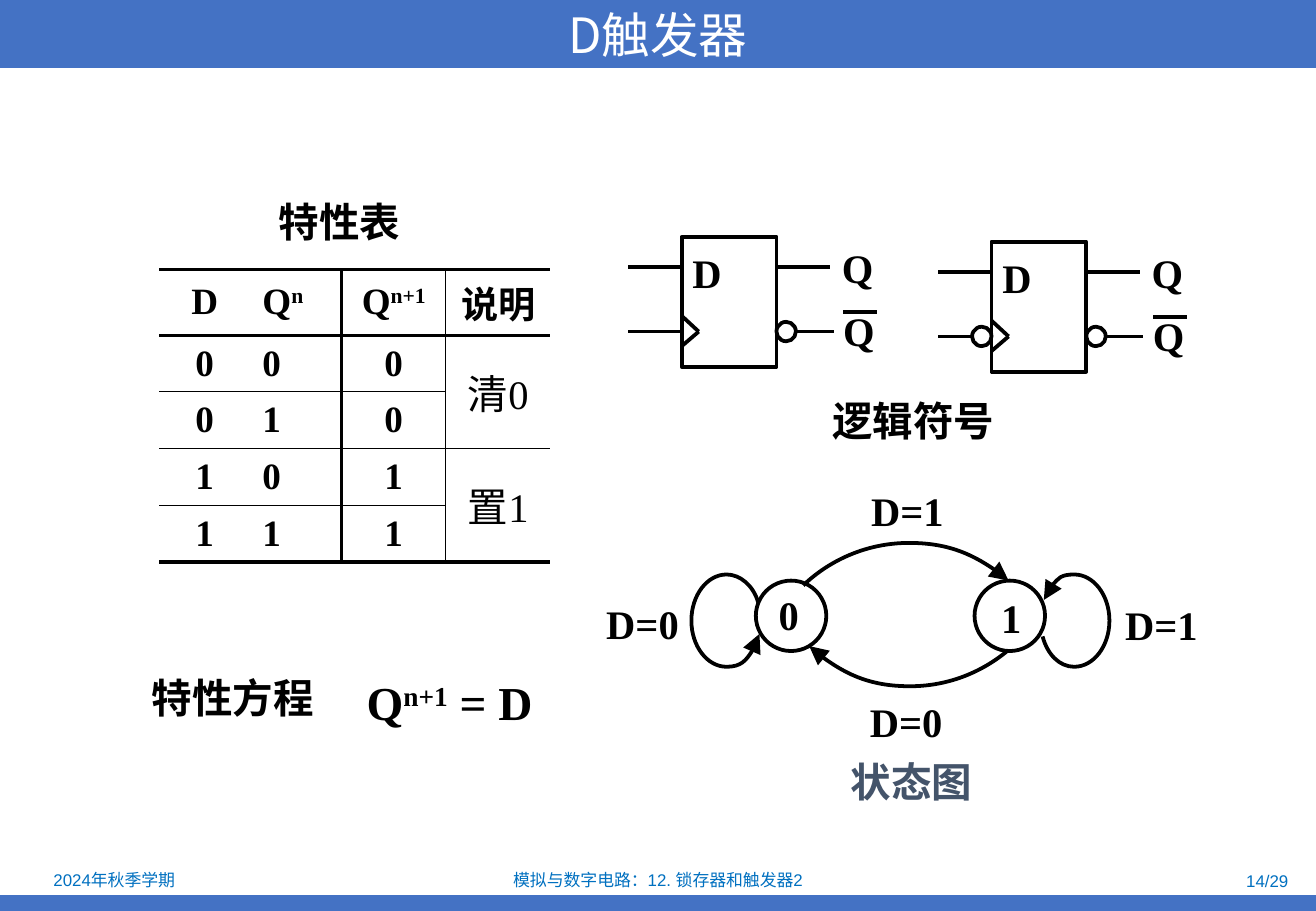
from lxml import etree
from pptx import Presentation
from pptx import util as u
from pptx.dml.color import RGBColor
from pptx.enum import shapes as kinds, text as t
from pptx.oxml.ns import qn

BLUE, FOOTER_BLUE, SLATE = "4472C4", "0070C0", "44546A"
BLACK, WHITE = "000000", "FFFFFF"
SERIF, SANS, CHINESE = "Times New Roman", "Arial", "Noto Sans CJK SC"
LINE_WIDTH, THIN = 2.25, 0.75
LEFT, CENTER, RIGHT = t.PP_ALIGN.LEFT, t.PP_ALIGN.CENTER, t.PP_ALIGN.RIGHT
TOP, MIDDLE = t.MSO_ANCHOR.TOP, t.MSO_ANCHOR.MIDDLE
OVAL, RECTANGLE = kinds.MSO_SHAPE.OVAL, kinds.MSO_SHAPE.RECTANGLE


def color(value):
    return RGBColor.from_string(value)


def inches(*values):
    return [u.Inches(value) for value in values]


def write(frame, spans, size, font=SERIF, bold=True, hue=BLACK, align=LEFT, anchor=TOP):
    """Fill a frame with one paragraph; odd spans are superscripts."""
    frame.word_wrap = True
    frame.vertical_anchor = anchor
    para = frame.paragraphs[0]
    para.alignment = align
    for index, words in enumerate(spans.split("^")):
        span = para.add_run()
        span.text = words
        for name, value in {"size": u.Pt(size), "bold": bold, "name": font}.items():
            setattr(span.font, name, value)
        span.font.color.rgb = color(hue)
        properties = span.font._element
        etree.SubElement(properties, qn("a:ea")).set("typeface", CHINESE)
        if index % 2:
            properties.set("baseline", "30000")


def add_label(shapes, spans, box, size=24, **format_values):
    frame = shapes.add_textbox(*inches(*box)).text_frame
    write(frame, spans, size, **format_values)


def outline(line):
    line.color.rgb = color(BLACK)
    line.width = u.Pt(LINE_WIDTH)


def add_outlined(shapes, kind, box, fill=None):
    shape = shapes.add_shape(kind, *inches(*box))
    shape.shadow.inherit = False
    if fill:
        shape.fill.solid()
        shape.fill.fore_color.rgb = color(fill)
    else:
        shape.fill.background()
    outline(shape.line)


def add_wire(shapes, *ends):
    wire = shapes.add_connector(kinds.MSO_CONNECTOR.STRAIGHT, *inches(*ends))
    outline(wire.line)
    etree.SubElement(wire._element.spPr, qn("a:effectLst"))


def add_arrow(shapes, center, start, *curves):
    """Curved line with its arrowhead at the start; its frame reaches to the center."""
    knots = [inches(*curve[-1]) for curve in curves]
    builder = shapes.build_freeform(*inches(*start))
    builder.add_line_segments([*knots, inches(*center)], close=False)
    arrow = builder.convert_to_shape()
    arrow.shadow.inherit = False
    arrow.fill.background()
    outline(arrow.line)

    *segments, to_center = arrow._element.spPr.findall(".//" + qn("a:lnTo"))
    to_center.getparent().remove(to_center)
    for segment, curve in zip(segments, curves):
        bend = etree.Element(qn("a:cubicBezTo"))
        for corner in curve:
            x, y = inches(*corner)
            point = etree.SubElement(bend, qn("a:pt"))
            point.set("x", str(x - arrow.left))
            point.set("y", str(y - arrow.top))
        segment.getparent().replace(segment, bend)

    head = etree.SubElement(arrow.line._get_or_add_ln(), qn("a:headEnd"))
    for name, value in {"type": "triangle", "w": "lg", "len": "lg"}.items():
        head.set(name, value)


def set_borders(cell, widths):
    """Widths in points for left, right, top and bottom; 0 for none."""
    cell.fill.background()
    properties = cell._tc.get_or_add_tcPr()
    for index, (side, width) in enumerate(zip("LRTB", widths)):
        border = etree.Element(qn(f"a:ln{side}"))
        if width:
            border.set("w", str(u.Pt(width)))
            fill = etree.SubElement(border, qn("a:solidFill"))
            etree.SubElement(fill, qn("a:srgbClr")).set("val", BLACK)
        else:
            etree.SubElement(border, qn("a:noFill"))
        properties.insert(index, border)


def add_truth_table(shapes):
    rows = [("D", "Q^n", "Q^n+1", "说明"),
            ("0", "0", "0", "清0"), ("0", "1", "0", ""),
            ("1", "0", "1", "置1"), ("1", "1", "1", "")]
    table = shapes.add_table(5, 4, *inches(1.31, 2.22, 3.22, 2.38)).table
    table.first_row = table.horz_banding = False
    for column, width in zip(table.columns, (0.75, 0.75, 0.86, 0.86)):
        column.width = u.Inches(width)
    for row, height in zip(table.rows, (0.54, 0.46, 0.46, 0.46, 0.46)):
        row.height = u.Inches(height)
    for top in (1, 3):
        table.cell(top, 3).merge(table.cell(top + 1, 3))

    vertical = (0, 0, LINE_WIDTH, THIN, 0)
    horizontal = (LINE_WIDTH, LINE_WIDTH, THIN, THIN, THIN, LINE_WIDTH)
    for i, words in enumerate(rows):
        for j, word in enumerate(words):
            cell = table.cell(i, j)
            merged = j == 3 and i > 0
            above = 0 if cell.is_spanned else horizontal[i]
            below = horizontal[i + 2 if cell.is_merge_origin else i + 1]
            set_borders(cell, (*vertical[j:j + 2], above, below))
            cell.vertical_anchor = MIDDLE
            if word:
                write(cell.text_frame, word, 24 if merged else 22, bold=not merged,
                      align=LEFT if j == 1 else CENTER, anchor=MIDDLE)


def add_flip_flop(page, x, y, falling_edge):
    shapes = page.shapes.add_group_shape().shapes
    add_outlined(shapes, RECTANGLE, (x, y, 0.78, 1.07))
    for x1, y1, x2, y2 in ((-0.44, 0.25, 0, 0.25), (-0.44, 0.78, 0, 0.78),
                           (0.78, 0.25, 1.22, 0.25), (0.81, 0.78, 1.25, 0.78),
                           (1.33, 0.62, 1.61, 0.62),
                           (0, 0.65, 0.14, 0.78), (0, 0.9, 0.14, 0.78)):
        add_wire(shapes, x + x1, y + y1, x + x2, y + y2)
    for name, dx, dy in (("D", -0.01, 0.04), ("Q", 1.22, 0), ("Q", 1.23, 0.52)):
        add_label(shapes, name, (x + dx, y + dy, 0.46, 0.5))
    for dx in (0.78, -0.16) if falling_edge else (0.78,):
        add_outlined(shapes, OVAL, (x + dx, y + 0.7, 0.16, 0.16), WHITE)


def add_state_diagram(page):
    shapes = page.shapes
    add_arrow(shapes, (7.49, 4.39), (6.66, 5.32),
              ((6.89, 5.53), (7.18, 5.65), (7.49, 5.65)),
              ((7.78, 5.65), (8.06, 5.55), (8.29, 5.36)))
    add_arrow(shapes, (7.48, 5.73), (8.3, 4.78),
              ((8.07, 4.58), (7.78, 4.47), (7.48, 4.47)),
              ((7.15, 4.47), (6.84, 4.6), (6.61, 4.82)))
    add_arrow(shapes, (8.84, 5.11), (8.59, 4.94),
              ((8.64, 4.81), (8.73, 4.73), (8.84, 4.73)),
              ((9, 4.73), (9.13, 4.9), (9.13, 5.11)),
              ((9.13, 5.32), (9, 5.49), (8.84, 5.49)),
              ((8.72, 5.49), (8.62, 5.39), (8.58, 5.24)))
    add_arrow(shapes, (5.98, 5.11), (6.25, 5.22),
              ((6.21, 5.38), (6.1, 5.49), (5.98, 5.49)),
              ((5.82, 5.49), (5.69, 5.32), (5.69, 5.11)),
              ((5.69, 4.9), (5.82, 4.73), (5.98, 4.73)),
              ((6.09, 4.73), (6.2, 4.82), (6.24, 4.96)))
    for condition, x, y in (("D=1", 7.07, 3.95), ("D=0", 7.06, 5.69),
                            ("D=1", 9.16, 4.89), ("D=0", 4.89, 4.88)):
        add_label(shapes, condition, (x, y, 0.85, 0.5))
    states = shapes.add_group_shape().shapes
    for name, x, label_x, label_y in (("0", 6.22, 6.31, 4.81), ("1", 8.02, 8.14, 4.83)):
        add_outlined(states, OVAL, (x, 4.78, 0.58, 0.58))
        add_label(states, name, (label_x, label_y, 0.37, 0.5))


def add_title(page, words):
    title = page.shapes.title
    box = dict(zip(("left", "top", "width", "height"), inches(0, 0, 10.83, 0.56)))
    for name, value in box.items():
        setattr(title, name, value)
    title.fill.solid()
    title.fill.fore_color.rgb = color(BLUE)
    write(title.text_frame, words, 28.8, font=CHINESE, bold=False, hue=WHITE,
          align=CENTER, anchor=MIDDLE)


def add_footer(page):
    bar = page.shapes.add_shape(RECTANGLE, *inches(0, 7.37, 10.83, 0.13))
    bar.shadow.inherit = False
    bar.fill.solid()
    bar.fill.fore_color.rgb = color(BLUE)
    bar.line.fill.background()
    for words, box, align in (
            ("2024年秋季学期", (0.02, 7.13, 1.84, 0.23), CENTER),
            ("模拟与数字电路：12. 锁存器和触发器2", (3.7, 7.14, 3.43, 0.21), CENTER),
            ("14/29", (8.17, 7.15, 2.53, 0.21), RIGHT)):
        add_label(page.shapes, words, box, size=10, font=SANS, bold=False,
                  hue=FOOTER_BLUE, align=align, anchor=MIDDLE)


def main():
    deck = Presentation()
    deck.slide_width, deck.slide_height = inches(10.83, 7.5)
    page = deck.slides.add_slide(deck.slide_layouts[5])
    add_title(page, "D触发器")
    add_footer(page)
    add_truth_table(page.shapes)
    add_state_diagram(page)
    add_flip_flop(page, 5.61, 1.95, falling_edge=False)
    add_flip_flop(page, 8.16, 1.99, falling_edge=True)
    for words, box, hue in (("特性表", (2.1, 1.57, 1.39, 0.5), BLACK),
                            ("逻辑符号", (6.59, 3.21, 1.85, 0.5), BLACK),
                            ("状态图", (6.8, 6.18, 1.4, 0.5), SLATE)):
        add_label(page.shapes, words, box, font=SANS, hue=hue, align=CENTER)
    add_label(page.shapes, "特性方程", (1.15, 5.49, 1.65, 0.51))
    add_label(page.shapes, "Q^n+1^ = D", (2.92, 5.49, 1.9, 0.57), size=28, anchor=MIDDLE)
    deck.save("out.pptx")


if __name__ == "__main__":
    main()
